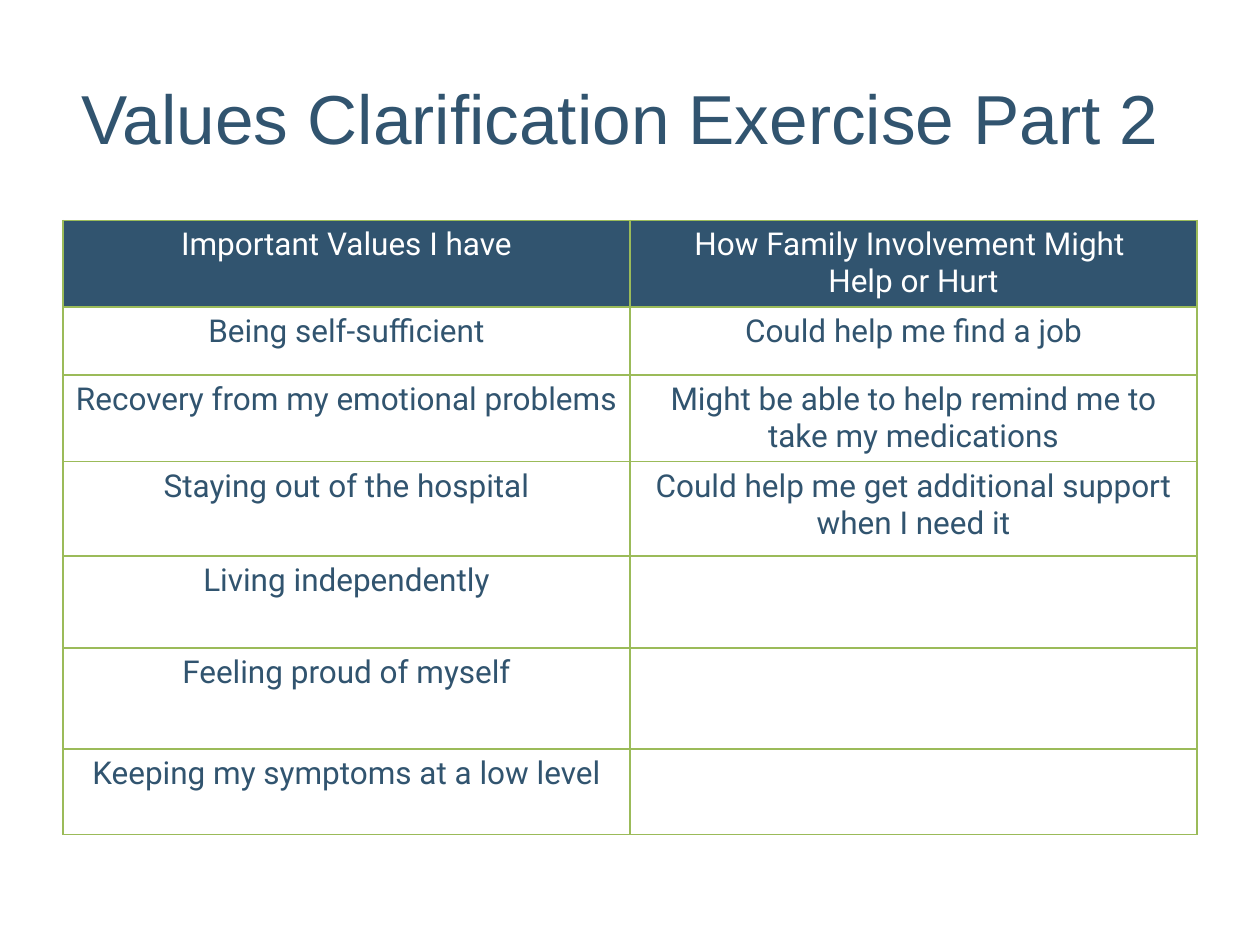
from lxml import etree
from pptx import Presentation
from pptx.dml.color import RGBColor
from pptx.enum.text import MSO_ANCHOR, PP_ALIGN
from pptx.oxml.ns import qn
from pptx.util import Inches, Pt

CENTER = PP_ALIGN.CENTER
MIDDLE = MSO_ANCHOR.MIDDLE
TITLE_ONLY = 5

NAVY = RGBColor(0x31, 0x54, 0x6F)
GREEN = RGBColor(0x9B, 0xBB, 0x59)
WHITE = RGBColor(0xFF, 0xFF, 0xFF)

TITLE = "Values Clarification Exercise Part 2 "

# Each cell is a list of paragraphs
HEADER = (["Important Values I have"],
          ["How Family Involvement Might ", "Help or Hurt"])
VALUES = [
    (["Being self-sufficient"], ["Could help me find a job"]),
    (["Recovery from my emotional problems"],
     ["Might be able to help remind me to take my medications"]),
    (["Staying out of the hospital"],
     ["Could help me get additional support when I need it"]),
    (["Living independently"], []),
    (["Feeling proud of myself"], []),
    (["Keeping my symptoms at a low level"], []),
]
ROW_HEIGHTS = [0.68, 0.54, 0.65, 0.75, 0.73, 0.8, 0.68]
COLUMN_WIDTH = 4.5


def write_paragraphs(frame, lines, font_name, size, color):
    """Write centred paragraphs, one run each."""
    for index, line in enumerate(lines):
        para = frame.add_paragraph() if index else frame.paragraphs[0]
        para.alignment = CENTER
        span = para.add_run()
        span.text = line
        span.font.name = font_name
        span.font.size = Pt(size)
        span.font.color.rgb = color


def add_title(page):
    box = page.shapes.title
    box.left, box.top = Inches(0.5), Inches(0.3)
    box.width, box.height = Inches(9), Inches(1.25)
    frame = box.text_frame
    frame.word_wrap = True
    frame.vertical_anchor = MIDDLE
    write_paragraphs(frame, [TITLE], "Arial", 39.6, NAVY)


def set_borders(cell, color, width):
    properties = cell._tc.get_or_add_tcPr()
    for side in ("a:lnL", "a:lnR", "a:lnT", "a:lnB"):
        line = etree.SubElement(properties, qn(side), w=str(Pt(width)))
        fill = etree.SubElement(line, qn("a:solidFill"))
        etree.SubElement(fill, qn("a:srgbClr"), val=str(color))


def format_cell(cell, lines, is_header):
    set_borders(cell, GREEN, 1)
    if is_header:
        cell.fill.solid()
        cell.fill.fore_color.rgb = NAVY
    else:
        cell.fill.background()
    color = WHITE if is_header else NAVY
    write_paragraphs(cell.text_frame, lines, "Roboto", 18, color)


def add_values_table(page):
    rows = [HEADER] + VALUES
    columns = len(HEADER)
    table = page.shapes.add_table(
        len(rows), columns, Inches(0.5), Inches(1.75),
        Inches(COLUMN_WIDTH * columns), Inches(sum(ROW_HEIGHTS))).table
    table.first_row = False
    table.horz_banding = False
    for column in table.columns:
        column.width = Inches(COLUMN_WIDTH)
    for row_index, (row, height) in enumerate(zip(rows, ROW_HEIGHTS)):
        table.rows[row_index].height = Inches(height)
        for column_index, lines in enumerate(row):
            format_cell(table.cell(row_index, column_index), lines,
                        is_header=row_index == 0)


def main():
    deck = Presentation()
    deck.slide_width, deck.slide_height = Inches(10), Inches(7.5)
    page = deck.slides.add_slide(deck.slide_layouts[TITLE_ONLY])
    add_title(page)
    add_values_table(page)
    deck.save("out.pptx")


if __name__ == "__main__":
    main()
